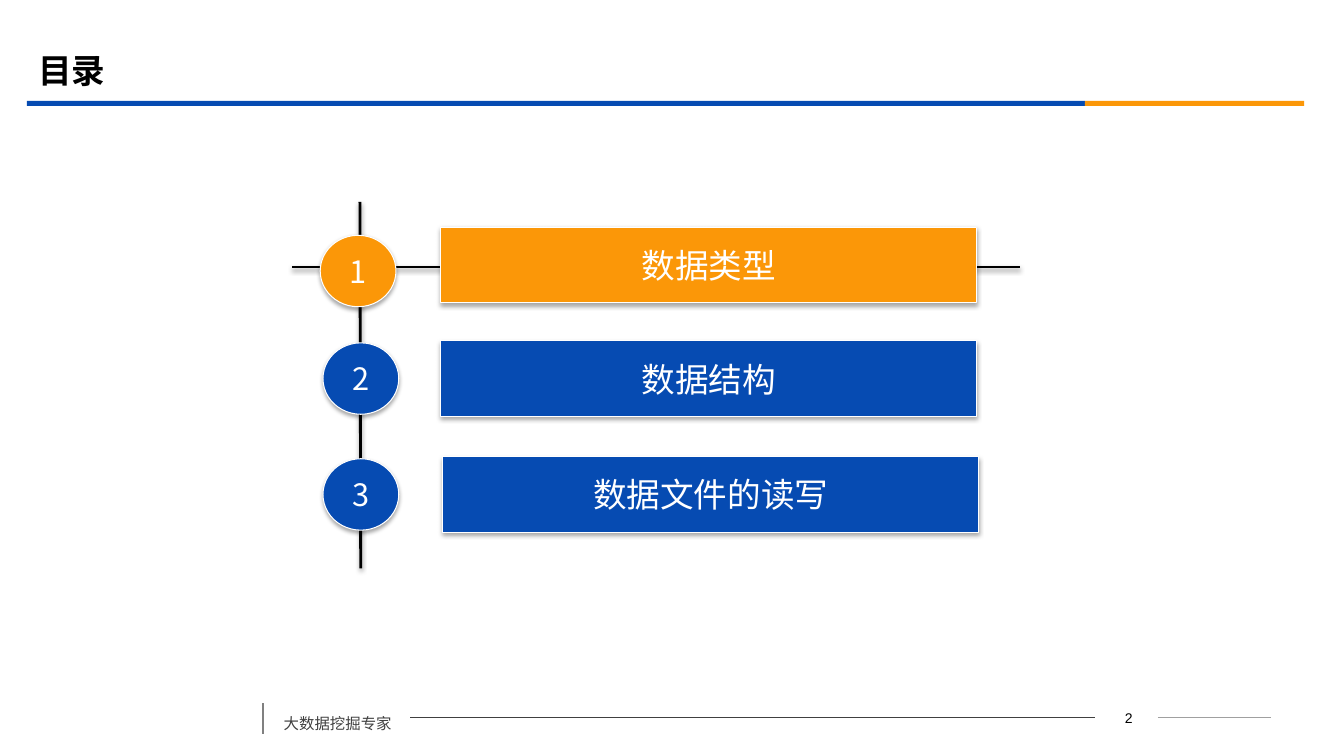
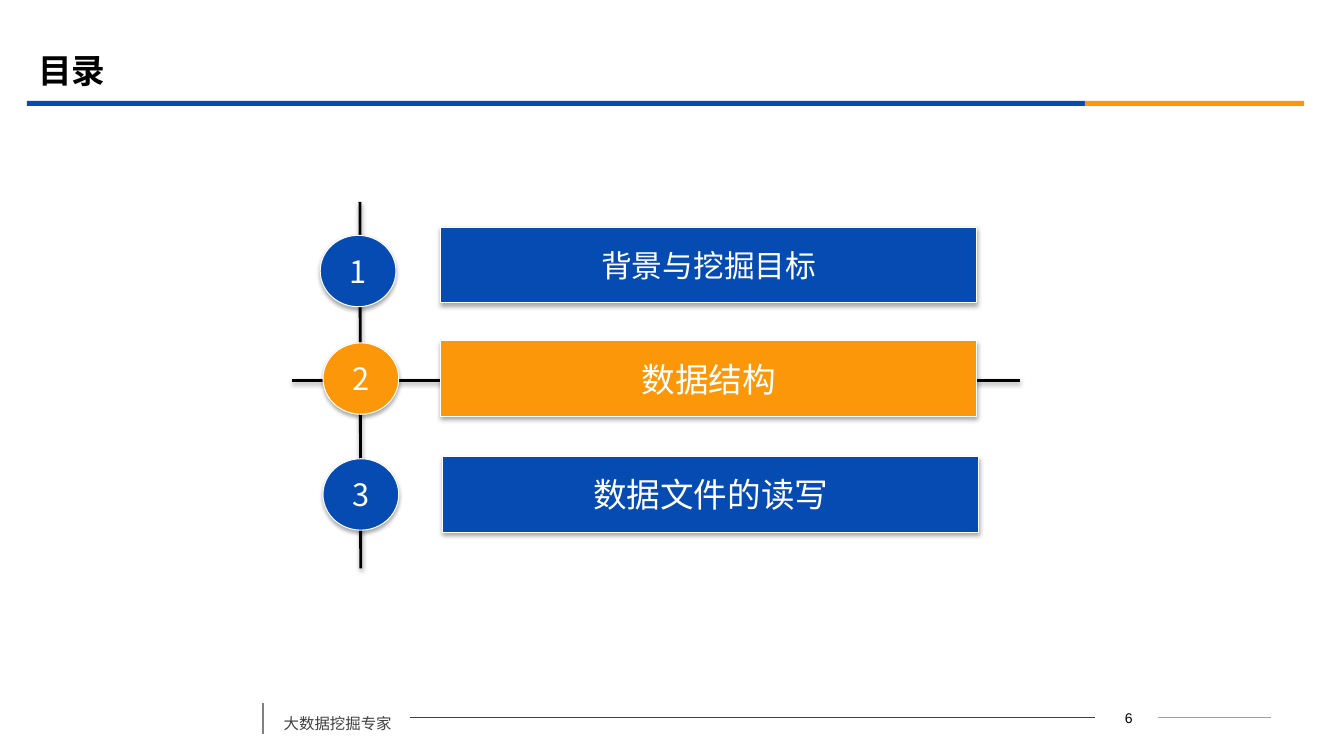
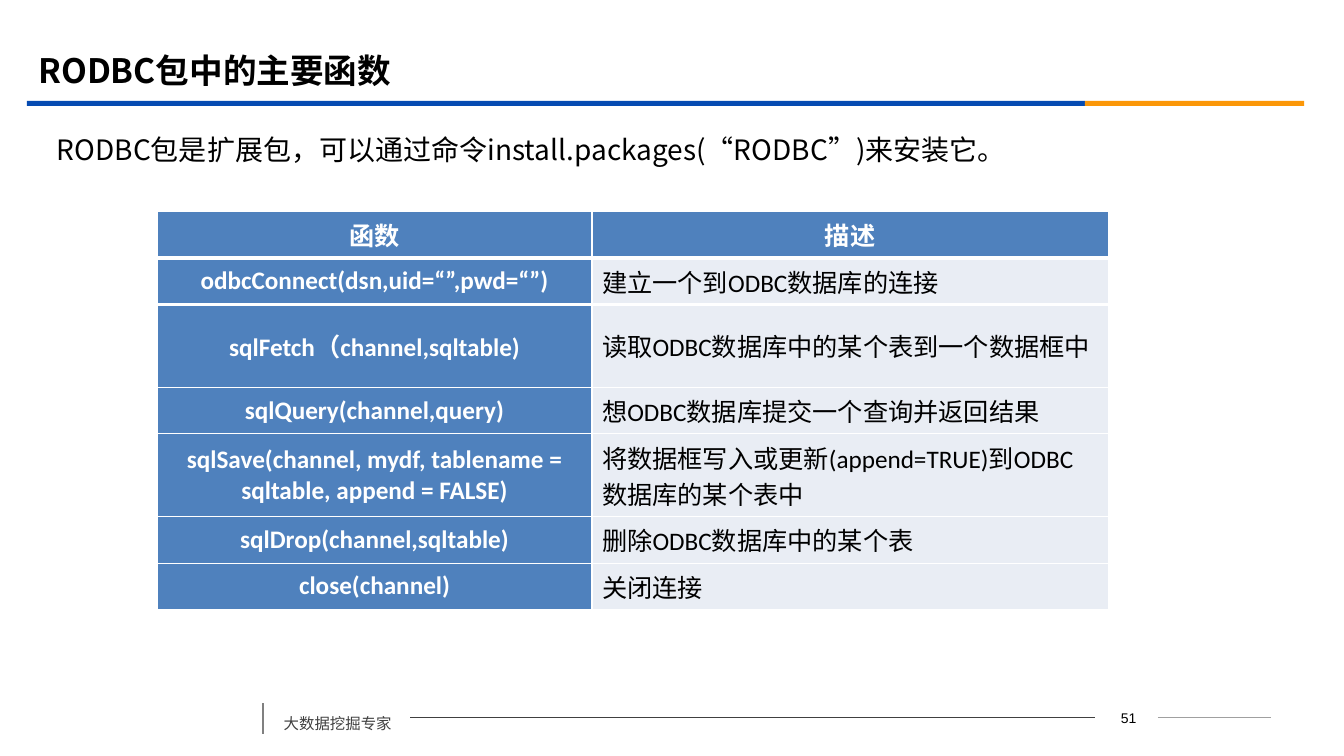
from dataclasses import dataclass

from lxml import etree
from pptx import Presentation
from pptx.dml.color import RGBColor
from pptx.enum import shapes, text
from pptx.oxml import ns
from pptx.util import Cm, Pt

BLUE = RGBColor(0x06, 0x4B, 0xB2)
ORANGE = RGBColor(0xFB, 0x97, 0x08)
STEEL = RGBColor(0x4F, 0x81, 0xBD)
PALE = RGBColor(0xE9, 0xED, 0xF4)
WHITE = RGBColor(0xFF, 0xFF, 0xFF)
BLACK = RGBColor(0, 0, 0)
DARK = RGBColor(0x40, 0x40, 0x40)
GREY = RGBColor(0x80, 0x80, 0x80)
LIGHT = RGBColor(0xA0, 0xA0, 0xA0)

HAN = "Noto Sans CJK SC"
LEFT, CENTER = text.PP_ALIGN.LEFT, text.PP_ALIGN.CENTER
MIDDLE = text.MSO_ANCHOR.MIDDLE
KIND = shapes.MSO_SHAPE


@dataclass(frozen=True)
class Box:
    """A frame in centimetres."""
    x: float
    y: float
    w: float
    h: float

    def emu(self) -> tuple:
        return Cm(self.x), Cm(self.y), Cm(self.w), Cm(self.h)


@dataclass(frozen=True)
class Rule:
    """A line in centimetres, with its width in points."""
    x1: float
    y1: float
    x2: float
    y2: float
    color: RGBColor
    width: float


@dataclass(frozen=True)
class Item:
    """One agenda entry."""
    label: str
    size: int = 24


@dataclass(frozen=True)
class Style:
    size: float
    color: RGBColor
    align: int = LEFT
    bold: bool = False
    face: str = HAN


# Frames shared by all slides
TITLE = Box(0.71, 1.02, 30.48, 1.47)
BANDS = [(Box(0.68, 2.54, 26.66, 0.13), BLUE),
         (Box(27.34, 2.54, 5.53, 0.13), ORANGE)]
RULES = [Rule(29.18, 18.08, 32.03, 18.08, LIGHT, 0.75),
         Rule(10.34, 18.08, 27.6, 18.08, DARK, 0.75),
         Rule(6.63, 17.72, 6.63, 18.49, GREY, 1.25)]
BRAND = Box(6.9, 17.63, 3.45, 0.97)
PAGE = Box(27.66, 17.75, 1.57, 0.64)

# Agenda frames, one of each per entry
SPINE = Rule(9.07, 5.09, 9.09, 14.32, BLACK, 2)
DISCS = [Box(x, y, 1.91, 1.8)
         for x, y in ((8.07, 5.93), (8.14, 8.64), (8.14, 11.56))]
BARS = [Box(x, y, 13.5, 1.9)
        for x, y in ((11.11, 5.73), (11.11, 8.59), (11.16, 11.51))]

FUNCS = [
    ("函数", "描述"),
    ("odbcConnect(dsn,uid=“”,pwd=“”)", "建立一个到ODBC数据库的连接"),
    ("sqlFetch（channel,sqltable)", "读取ODBC数据库中的某个表到一个数据框中"),
    ("sqlQuery(channel,query)", "想ODBC数据库提交一个查询并返回结果"),
    ("sqlSave(channel, mydf, tablename = sqltable, append = FALSE)",
     "将数据框写入或更新(append=TRUE)到ODBC数据库的某个表中"),
    ("sqlDrop(channel,sqltable)", "删除ODBC数据库中的某个表"),
    ("close(channel)", "关闭连接"),
]
ONE, TWO = 1.17, 2.09  # heights of rows with one and two lines
HEIGHTS = [ONE, ONE, TWO, ONE, TWO, ONE, ONE]


def write(frame, words: str, style: Style):
    """Fill a text frame with one styled paragraph and return it."""
    frame.text = words
    para = frame.paragraphs[0]
    para.alignment = style.align
    font = para.font
    font.name, font.size, font.bold = style.face, Pt(style.size), style.bold
    font.color.rgb = style.color
    base = para._p.pPr.find(ns.qn("a:defRPr"))
    etree.SubElement(base, ns.qn("a:ea"), typeface=HAN)
    return para


def shade(shape, dist: int = 0, alpha: int = 0) -> None:
    """Set a soft shadow below a shape, or none when dist is zero."""
    props = shape._element.spPr
    for old in props.findall(ns.qn("a:effectLst")):
        props.remove(old)
    effects = etree.SubElement(props, ns.qn("a:effectLst"))
    if dist:
        outer = etree.SubElement(
            effects, ns.qn("a:outerShdw"), blurRad="40000", dist=str(dist),
            dir="5400000", rotWithShape="0")
        tint = etree.SubElement(outer, ns.qn("a:srgbClr"), val=str(BLACK))
        etree.SubElement(tint, ns.qn("a:alpha"), val=str(alpha * 1000))


def line(slide, rule: Rule):
    made = slide.shapes.add_connector(
        shapes.MSO_CONNECTOR.STRAIGHT,
        Cm(rule.x1), Cm(rule.y1), Cm(rule.x2), Cm(rule.y2))
    made.line.color.rgb, made.line.width = rule.color, Pt(rule.width)
    shade(made)
    return made


def block(slide, kind, box: Box, fill: RGBColor):
    made = slide.shapes.add_shape(kind, *box.emu())
    made.shadow.inherit = False
    made.fill.solid()
    made.fill.fore_color.rgb = fill
    made.line.fill.background()
    return made


def button(slide, kind, box: Box, fill: RGBColor, words: str, size: int) -> None:
    """A raised, white-edged shape with a centred label."""
    made = block(slide, kind, box, fill)
    made.line.color.rgb, made.line.width = WHITE, Pt(0.75)
    shade(made, 23000, 35)
    frame = made.text_frame
    frame.word_wrap, frame.vertical_anchor = False, MIDDLE
    write(frame, words, Style(size, WHITE, CENTER))


def label(slide, box: Box, words: str, style: Style):
    frame = slide.shapes.add_textbox(*box.emu()).text_frame
    frame.word_wrap = True
    return write(frame, words, style)


def start(deck, title: str, page: int):
    """Add a slide with its title, bands and footer."""
    slide = deck.slides.add_slide(deck.slide_layouts[5])
    for rule in RULES:
        line(slide, rule)
    for box, color in BANDS:
        block(slide, KIND.RECTANGLE, box, color)
    brand = label(slide, BRAND, "大数据挖掘专家", Style(11, DARK))
    brand.line_spacing, brand.space_before = 1.5, Pt(6)
    label(slide, PAGE, str(page), Style(10, BLACK, CENTER, face="Arial"))

    head = slide.shapes.title
    head.left, head.top, head.width, head.height = TITLE.emu()
    frame = head.text_frame
    frame.auto_size, frame.vertical_anchor = text.MSO_AUTO_SIZE.NONE, MIDDLE
    write(frame, title, Style(24, BLACK, bold=True))
    return slide


def agenda(deck, page: int, items: list[Item], active: int) -> None:
    """List the chapters, with the active one crossed by a line."""
    slide = start(deck, "目录", page)
    level = BARS[active].y + 1
    for rule in (SPINE, Rule(7.37, level, 25.7, level, BLACK, 2)):
        shade(line(slide, rule), 20000, 38)
    for num, (item, disc, bar) in enumerate(zip(items, DISCS, BARS)):
        fill = ORANGE if num == active else BLUE
        button(slide, KIND.OVAL, disc, fill, str(num + 1), 22)
        button(slide, KIND.ACTION_BUTTON_CUSTOM, bar, fill,
               item.label, item.size)


def edge(cell, side: str) -> None:
    """Draw a thick white border on one side of a cell."""
    props = cell._tc.get_or_add_tcPr()
    border = etree.Element(ns.qn(side), w=str(Pt(3)))
    fill = etree.SubElement(border, ns.qn("a:solidFill"))
    etree.SubElement(fill, ns.qn("a:srgbClr"), val=str(WHITE))
    props.insert(0, border)


def grid(slide) -> None:
    """Table of functions; the table style gives the thin white borders."""
    box = Box(3.96, 5.33, 23.97, sum(HEIGHTS))
    table = slide.shapes.add_table(len(FUNCS), 2, *box.emu()).table
    table.first_row = table.first_col = True
    table.horz_banding = False
    for col, width in zip(table.columns, (10.96, 13.01)):
        col.width = Cm(width)
    key = Style(18, WHITE, CENTER, True, "Calibri")
    note = Style(18, BLACK, face="Calibri")
    for r, (row, height) in enumerate(zip(FUNCS, HEIGHTS)):
        table.rows[r].height = Cm(height)
        for c, words in enumerate(row):
            strong = r == 0 or c == 0
            cell = table.cell(r, c)
            cell.fill.solid()
            cell.fill.fore_color.rgb = STEEL if strong else PALE
            if r:
                cell.vertical_anchor = MIDDLE
            if r < 2:
                edge(cell, "a:lnT" if r else "a:lnB")
            write(cell.text_frame, words, key if strong else note)


def main() -> None:
    deck = Presentation()
    deck.slide_width, deck.slide_height = Cm(33.87), Cm(19.05)

    # Agenda slides
    rest = [Item("数据结构"), Item("数据文件的读写")]
    agenda(deck, 2, [Item("数据类型"), *rest], 0)
    agenda(deck, 6, [Item("背景与挖掘目标", 22), *rest], 1)

    # Function table
    slide = start(deck, "RODBC包中的主要函数", 51)
    label(slide, Box(1.18, 3.22, 30.86, 1.19),
          "RODBC包是扩展包，可以通过命令install.packages(“RODBC”)来安装它。",
          Style(20, BLACK))
    grid(slide)

    deck.save("out.pptx")


if __name__ == "__main__":
    main()
